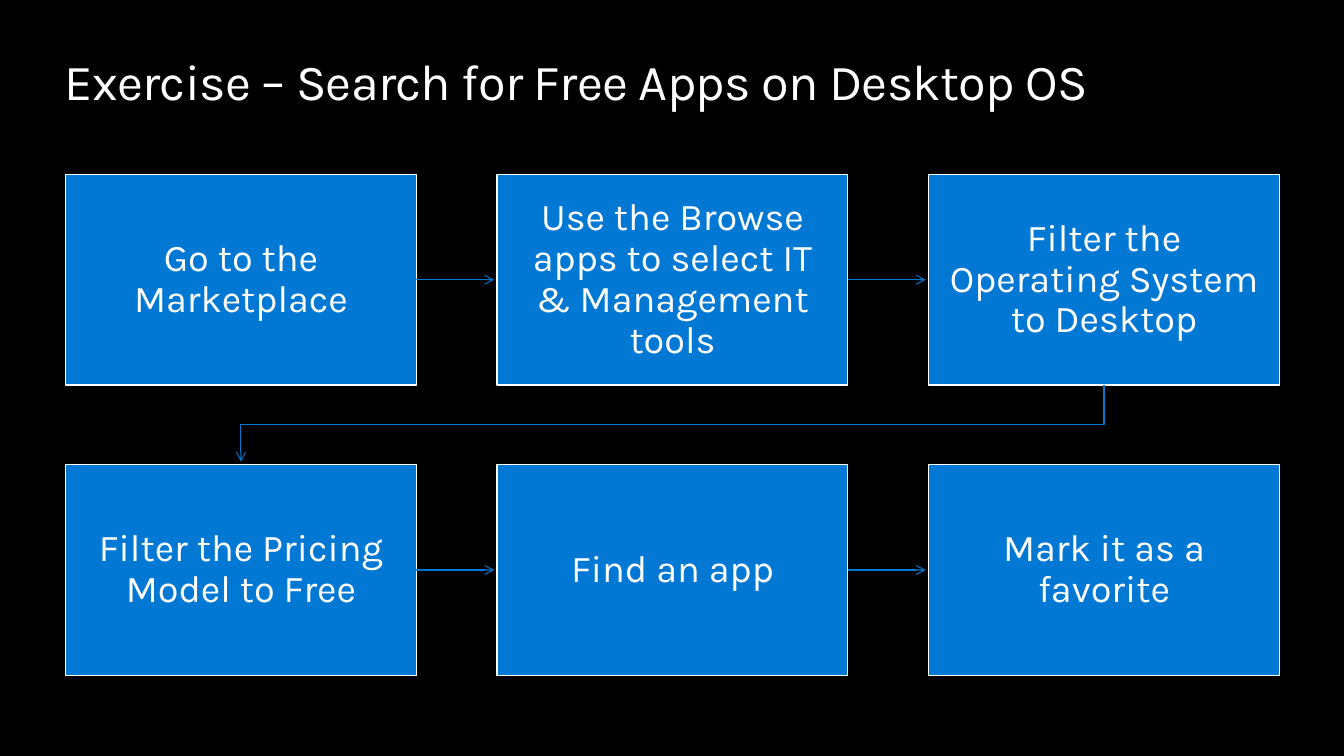
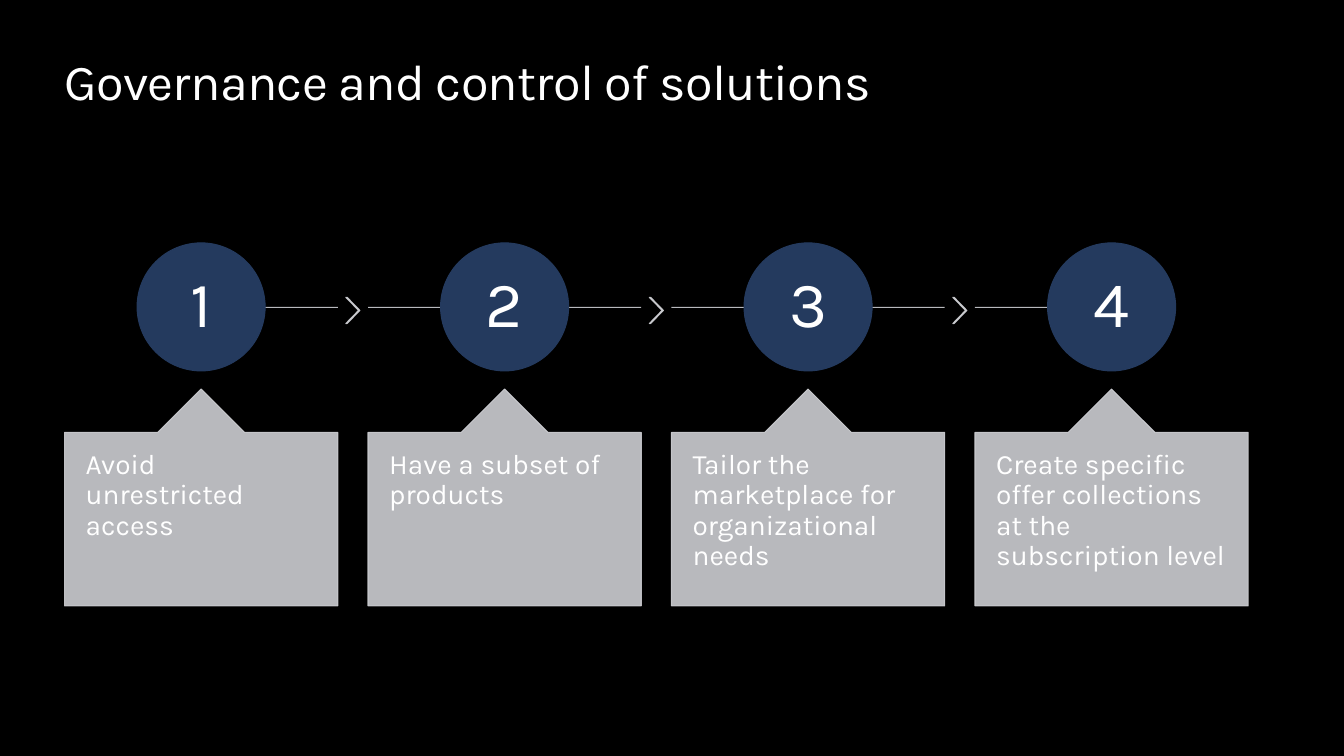
from lxml import etree
from pptx import Presentation
from pptx.dml.color import RGBColor
from pptx.enum.shapes import MSO_CONNECTOR, MSO_SHAPE
from pptx.enum.text import MSO_ANCHOR, PP_ALIGN
from pptx.oxml.ns import qn
from pptx.util import Inches, Pt

RECTANGLE = MSO_SHAPE.RECTANGLE
OVAL = MSO_SHAPE.OVAL
CHEVRON = MSO_SHAPE.CHEVRON
CALLOUT = MSO_SHAPE.UP_ARROW_CALLOUT
STRAIGHT = MSO_CONNECTOR.STRAIGHT
LEFT, CENTER = PP_ALIGN.LEFT, PP_ALIGN.CENTER
TOP, MIDDLE = MSO_ANCHOR.TOP, MSO_ANCHOR.MIDDLE
RIGHT_SIDE = 3

COLORS = {
    "background": "000000",
    "text": "FFFFFF",
    "step": "0078D4",
    "number": "243A5E",
    "soft": "CDCED2",
}
OPACITY = {"soft": 90}
FONT = "Karla"

FORMATS = {
    "title": {"size": 36, "align": LEFT, "anchor": TOP, "margins": (0, 0), "spacing": 1.0},
    "step": {"size": 27, "align": CENTER, "anchor": MIDDLE, "margins": (0.17, 0.18), "spacing": 0.9},
    "number": {"size": 46, "align": CENTER, "anchor": MIDDLE, "margins": (0.05, 0.05), "spacing": 0.9},
    "note": {"size": 20, "align": LEFT, "anchor": TOP, "margins": (0.21, 0.18), "spacing": 0.9},
}

STEPS = [
    "Go to the Marketplace",
    "Use the Browse apps to select IT & Management tools",
    "Filter the Operating System to Desktop",
    "Filter the Pricing Model to Free",
    "Find an app",
    "Mark it as a favorite",
]
CONTROLS = [
    "Avoid unrestricted access",
    "Have a subset of products",
    "Tailor the marketplace for organizational needs",
    "Create specific offer collections at the subscription level",
]


class SlideBuilder:
    def __init__(self):
        self.deck = Presentation()
        self.deck.slide_width = Inches(13.33)
        self.deck.slide_height = Inches(7.5)
        self.paint(self.deck.slide_master.background.fill, "background")
        self.page = None

    def new_page(self, title):
        self.page = self.deck.slides.add_slide(self.deck.slide_layouts[6])
        box = self.page.shapes.add_textbox(
            Inches(0.64), Inches(0.5), Inches(12.05), Inches(0.61))
        span = self.add_text(box, title, "title")
        span._r.get_or_add_rPr().set("spc", "-50")

    def paint(self, fill, color):
        fill.solid()
        fill.fore_color.rgb = RGBColor.from_string(COLORS[color])

    def outline(self, shape, color, width=0.75):
        self.paint(shape.line.fill, color)
        shape.line.width = Pt(width)

    def fade(self, shape, color):
        if color in OPACITY:
            for value in shape._element.spPr.iter(qn("a:srgbClr")):
                etree.SubElement(value, qn("a:alpha")).set("val", str(OPACITY[color] * 1000))

    def add_arrowhead(self, shape):
        line = shape._element.spPr.find(qn("a:ln"))
        etree.SubElement(line, qn("a:tailEnd")).set("type", "arrow")

    def add_text(self, shape, text, style):
        values = FORMATS[style]
        side, edge = (Inches(margin) for margin in values["margins"])
        frame = shape.text_frame
        para = frame.paragraphs[0]
        span = para.add_run()
        span.text = text
        settings = [
            (frame, {
                "word_wrap": True, "vertical_anchor": values["anchor"],
                "margin_left": side, "margin_right": side,
                "margin_top": edge, "margin_bottom": edge,
            }),
            (para, {"alignment": values["align"], "line_spacing": values["spacing"]}),
            (span.font, {"name": FONT, "size": Pt(values["size"])}),
        ]
        for target, attributes in settings:
            for name, value in attributes.items():
                setattr(target, name, value)
        span.font.color.rgb = RGBColor.from_string(COLORS["text"])
        return span

    def shape(self, kind, left, top, width, height, color,
              border=None, border_width=0.75, adjustments=()):
        shape = self.page.shapes.add_shape(
            kind, Inches(left), Inches(top), Inches(width), Inches(height))
        shape.shadow.inherit = False
        for index, value in enumerate(adjustments):
            shape.adjustments[index] = value
        self.paint(shape.fill, color)
        self.outline(shape, border or color, border_width)
        self.fade(shape, color)
        return shape

    def line(self, start, end, y, color, source=None, arrow=False):
        connector = self.page.shapes.add_connector(
            STRAIGHT, Inches(start), Inches(y), Inches(end), Inches(y))
        if source is not None:
            connector.begin_connect(source, RIGHT_SIDE)
        self.outline(connector, color)
        self.fade(connector, color)
        if arrow:
            self.add_arrowhead(connector)
        etree.SubElement(connector._element.spPr, qn("a:effectLst"))

    def bent_arrow(self, points, color):
        corners = [(Inches(x), Inches(y)) for x, y in points]
        builder = self.page.shapes.build_freeform(*corners[0])
        builder.add_line_segments(corners[1:], close=False)
        route = builder.convert_to_shape()
        route.shadow.inherit = False
        route.fill.background()
        self.outline(route, color)
        self.add_arrowhead(route)


def build_exercise(slides):
    slides.new_page("Exercise – Search for Free Apps on Desktop OS")
    columns = 3
    left, top, width, height = 0.65, 1.73, 3.48, 2.09
    column_pitch, row_pitch, arrow_gap = 4.28, 2.88, 0.03
    for index, text in enumerate(STEPS):
        row, column = divmod(index, columns)
        x, y = left + column * column_pitch, top + row * row_pitch
        box = slides.shape(RECTANGLE, x, y, width, height, "step", "text", 0.85)
        slides.add_text(box, text, "step")
        if column < columns - 1:
            slides.line(x + width, x + column_pitch - arrow_gap, y + height / 2,
                        "step", source=box, arrow=True)
    first_center = left + width / 2
    last_center = first_center + (columns - 1) * column_pitch
    bottom, next_top = top + height, top + row_pitch
    middle = (bottom + next_top) / 2
    slides.bent_arrow(
        [(last_center, bottom), (last_center, middle),
         (first_center, middle), (first_center, next_top - arrow_gap)], "step")


def build_governance(slides):
    slides.new_page("Governance and control of solutions")
    left, width, pitch = 0.64, 2.71, 3.01
    circle, circle_top, line_y = 1.27, 2.41, 3.05
    chevron_width, chevron_height = 0.14, 0.26
    for index, text in enumerate(CONTROLS):
        x = left + index * pitch
        center = x + width / 2
        if index > 0:
            slides.line(x, center - circle / 2, line_y, "soft")
        if index < len(CONTROLS) - 1:
            slides.line(center + circle / 2, x + width, line_y, "soft")
            gap_center = x + (width + pitch) / 2
            slides.shape(CHEVRON, gap_center - chevron_width / 2, 2.95,
                         chevron_width, chevron_height, "soft", adjustments=(0.9,))
        disc = slides.shape(OVAL, center - circle / 2, circle_top, circle, circle, "number")
        slides.add_text(disc, str(index + 1), "number")
        note = slides.shape(CALLOUT, x, 3.86, width, 2.15, "soft",
                            adjustments=(0.4, 0.2, 0.2, 0.8))
        slides.add_text(note, text, "note")


def main():
    slides = SlideBuilder()
    build_exercise(slides)
    build_governance(slides)
    slides.deck.save("out.pptx")


if __name__ == "__main__":
    main()
